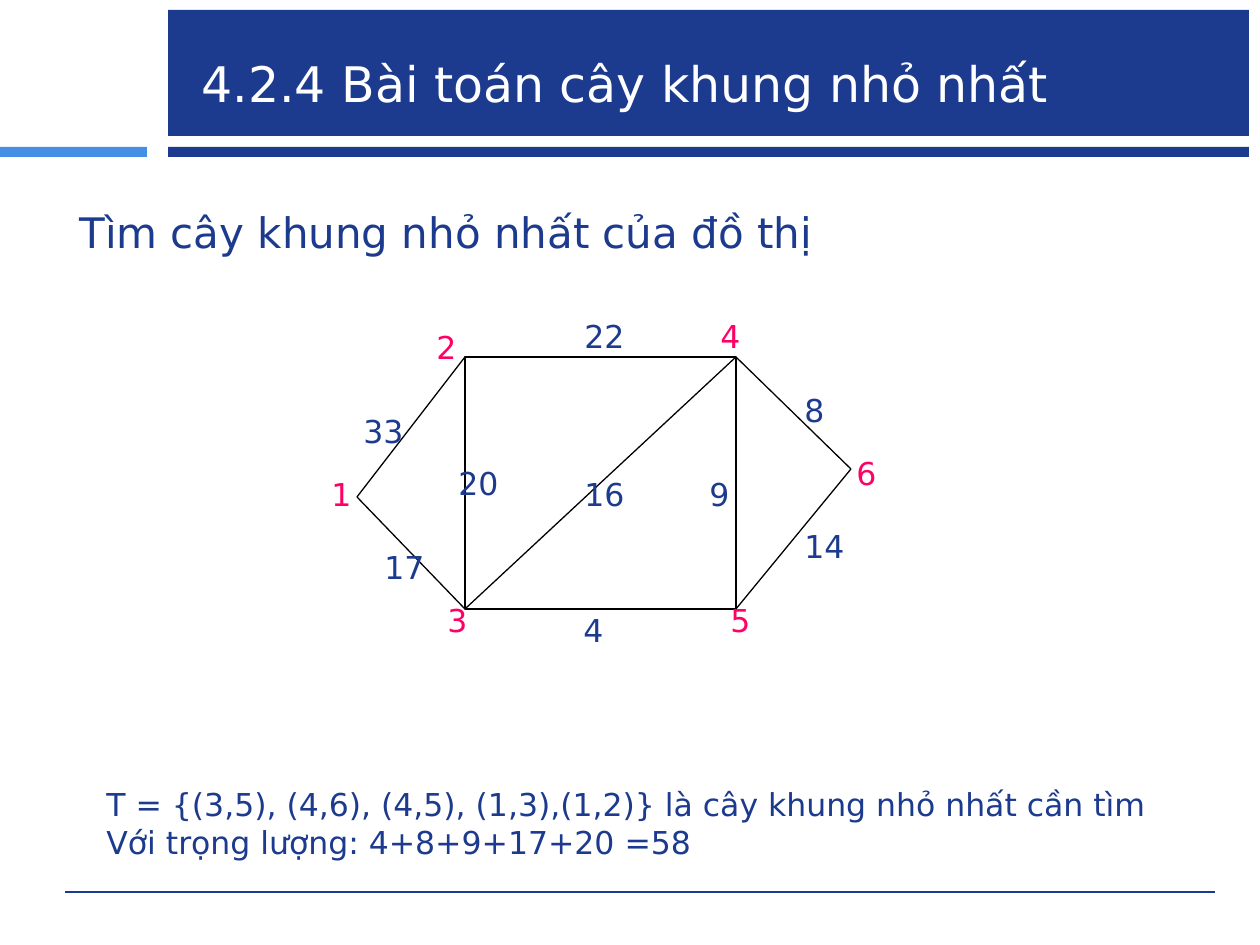
"""Build the slide on the minimum spanning tree of a weighted graph."""
import pptx
import pptx.util
import pptx.dml.color
import pptx.enum.shapes
import pptx.enum.text
import lxml.etree

PX = 914400 // 126
FONT = "DejaVu Sans"
NAVY, SKY, PINK, WHITE, BLACK = "1C3A8E", "438FE3", "FF0066", "FFFFFF", "000000"
ANCHOR = pptx.enum.text.MSO_ANCHOR
ALIGN = pptx.enum.text.PP_ALIGN

TITLE = "4.2.4 Bài toán cây khung nhỏ nhất"
TASK = "Tìm cây khung nhỏ nhất của đồ thị"
ANSWER = [
    "T = {(3,5), (4,6), (4,5), (1,3),(1,2)} là cây khung nhỏ nhất cần tìm",
    "Với trọng lượng: 4+8+9+17+20 =58",
]
BARS = [
    (168, 147, 1081, 10, NAVY),
    (168, 10, 1081, 126, NAVY),
    (0, 147, 147, 10, SKY),
]
VERTICES = {
    "1": (357, 497), "2": (465, 357), "3": (465, 609),
    "4": (736, 357), "5": (736, 609), "6": (851, 469),
}
EDGES = ["34", "46", "65", "13", "21"]
LABEL_SIZE = (53, 42)
VERTEX_LABELS = [
    ("1", 315, 473), ("2", 420, 326), ("4", 704, 315),
    ("3", 431, 599), ("5", 714, 599), ("6", 840, 452),
]
WEIGHT_LABELS = [
    ("22", 578, 315), ("33", 357, 410), ("17", 378, 546),
    ("20", 452, 462), ("16", 578, 473), ("9", 693, 473),
    ("8", 788, 389), ("14", 798, 525), ("4", 567, 609),
]


def px(*values):
    return [v * PX for v in values]


def rgb(value):
    return pptx.dml.color.RGBColor.from_string(value)


def write(tf, lines, size, color, align=ALIGN.LEFT, anchor=ANCHOR.TOP, wrap=True):
    tf.word_wrap = wrap
    tf.auto_size = pptx.enum.text.MSO_AUTO_SIZE.NONE
    tf.vertical_anchor = anchor
    for i, line in enumerate(lines):
        p = tf.add_paragraph() if i else tf.paragraphs[0]
        p.alignment = align
        r = p.add_run()
        r.text = line
        r.font.size = pptx.util.Pt(size)
        r.font.name = FONT
        r.font.color.rgb = rgb(color)


def add_text(s, box, *args, **kwargs):
    write(s.shapes.add_textbox(*px(*box)).text_frame, *args, **kwargs)


def add_rect(s, box, fill, line=None):
    sp = s.shapes.add_shape(pptx.enum.shapes.MSO_SHAPE.RECTANGLE, *px(*box))
    sp.shadow.inherit = False
    sp.fill.solid()
    sp.fill.fore_color.rgb = rgb(fill)
    if line:
        sp.line.color.rgb = rgb(line)
        sp.line.width = pptx.util.Pt(0.75)
    else:
        sp.line.fill.background()


def add_line(s, start, end, color):
    sp = s.shapes.add_connector(
        pptx.enum.shapes.MSO_CONNECTOR.STRAIGHT, *px(*start, *end))
    sp.line.color.rgb = rgb(color)
    sp.line.width = pptx.util.Pt(0.75)
    effects = pptx.oxml.ns.qn("a:effectLst")
    lxml.etree.SubElement(sp._element.spPr, effects)


def add_graph(s):
    left, top = VERTICES["2"]
    right, bottom = VERTICES["5"]
    add_rect(s, (left, top, right - left, bottom - top), WHITE, BLACK)
    for a, b in EDGES:
        add_line(s, VERTICES[a], VERTICES[b], BLACK)
    for labels, color in ((VERTEX_LABELS, PINK), (WEIGHT_LABELS, NAVY)):
        for text, x, y in labels:
            add_text(s, (x, y, *LABEL_SIZE), [text], 18, color,
                     align=ALIGN.CENTER, anchor=ANCHOR.MIDDLE, wrap=False)


def main():
    prs = pptx.Presentation()
    prs.slide_width, prs.slide_height = px(1260, 945)
    s = prs.slides.add_slide(prs.slide_layouts[5])
    title = s.shapes.title
    for *box, color in BARS:
        add_rect(s, box, color)
    add_line(s, (65, 892), (1215, 892), NAVY)
    s.shapes._spTree.append(title._element)
    title.left, title.top, title.width, title.height = px(189, 38, 1071, 90)
    write(title.text_frame, [TITLE], 28, WHITE, anchor=ANCHOR.MIDDLE)
    add_text(s, (67, 200, 1183, 682), [TASK], 24, NAVY)
    add_graph(s)
    add_text(s, (94, 779, 1144, 88), ANSWER, 18, NAVY)
    prs.save("out.pptx")


if __name__ == "__main__":
    main()
